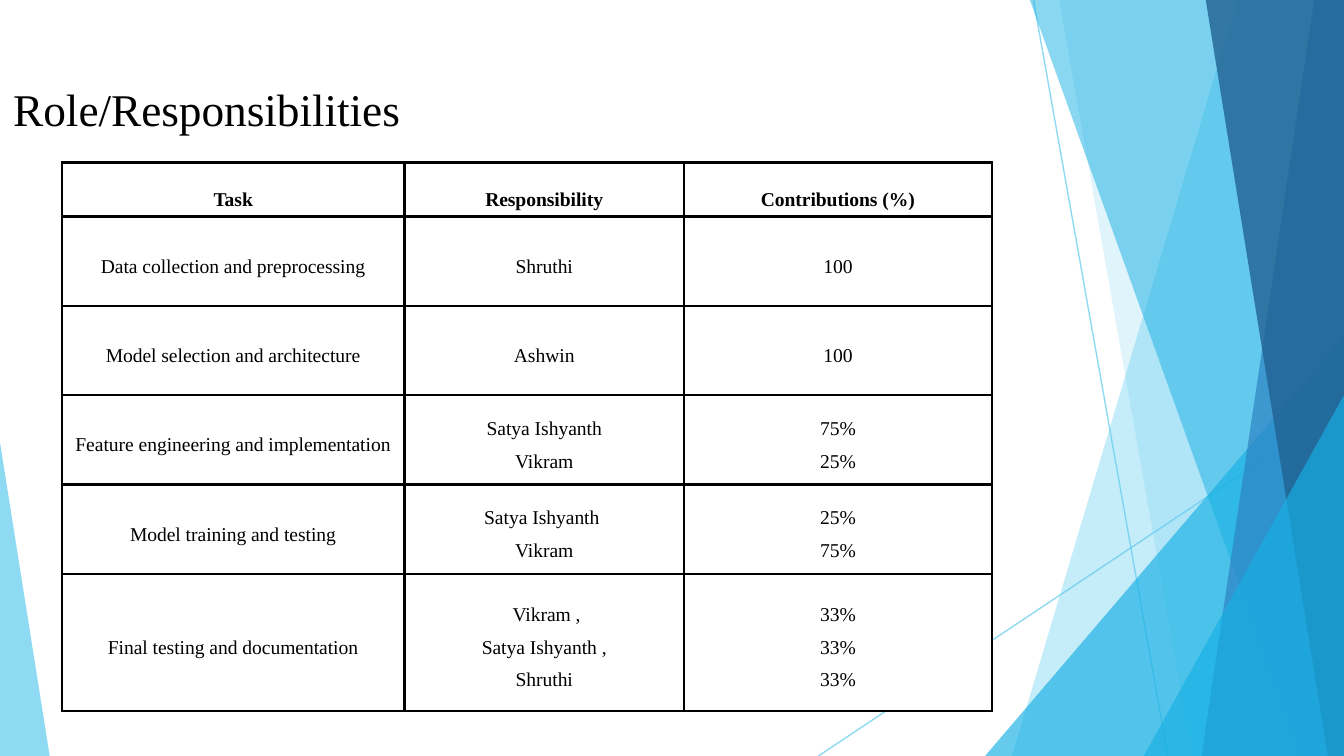
import pptx
import pptx.util
import pptx.dml.color
import pptx.enum.shapes
import pptx.enum.text
import pptx.oxml
import pptx.oxml.ns
from lxml import etree

Inches, Pt = pptx.util.Inches, pptx.util.Pt
RGB = pptx.dml.color.RGBColor.from_string
Shape = pptx.enum.shapes.MSO_SHAPE
Align, Anchor = pptx.enum.text.PP_ALIGN, pptx.enum.text.MSO_ANCHOR
qn = pptx.oxml.ns.qn

WIDE = 10
HIGH = WIDE * 9 / 16
FONT = "Times New Roman"
COLORS = {"ink": "000000", "paper": "FFFFFF", "sky": "5FCBEF",
          "cyan": "17B0E4", "blue": "2E83C3", "navy": "226292"}

TITLE = "Role/Responsibilities"
HEAD = ["Task", "Responsibility", "Contributions (%)"]
TASKS = [
    ("Data collection and preprocessing", ["Shruthi"], ["100"]),
    ("Model selection and architecture", ["Ashwin"], ["100"]),
    ("Feature engineering and implementation", ["Satya Ishyanth", "Vikram"], ["75%", "25%"]),
    ("Model training and testing", ["Satya Ishyanth ", "Vikram"], ["25%", "75%"]),
    ("Final testing and documentation", [" Vikram ,", "Satya Ishyanth ,", "Shruthi"],
     ["33%", "33%", "33%"]),
]
COLS = [2.55, 2.08, 2.29]
TALL, FIRST, LAST = 4.08, 0.4, 1.02
ROWS = [FIRST] + [(TALL - FIRST - LAST) / 4] * 4 + [LAST]

# Thin rays: start and end points
RAYS = [((7.69, 0), (8.69, HIGH)), ((WIDE, 3.02), (6.09, HIGH))]
# Back to front. A band runs to the right edge from (top x, bottom x);
# a wedge stands on the bottom edge: (left, top, width, apex).
FACETS = [
    ("band", (9.21, 7.53), "sky", 36),
    ("band", (7.88, 8.87), "sky", 20),
    ("wedge", (7.33, 2.5, 2.67, 1), "cyan", 66),
    ("band", (7.66, 9.68), "cyan", 50),
    ("band", (9.78, 8.94), "blue", 70),
    ("band", (8.97, 9.88), "navy", 80),
    ("wedge", (8.51, 2.94, 1.49, 1), "cyan", 66),
    ("wedge", (0, 3.29, 0.37, 0), "sky", 70),
]


def fade(fill, percent):
    """Set the opacity of a solid fill."""
    color = fill._xPr.find(qn("a:solidFill"))[0]
    etree.SubElement(color, qn("a:alpha"), val=str(percent * 1000))


def write(frame, lines, size=10.5, bold=False, align=Align.CENTER, space=1.5):
    for i, line in enumerate(lines):
        para = frame.paragraphs[0] if i == 0 else frame.add_paragraph()
        para.alignment, para.line_spacing = align, space
        run = para.add_run()
        run.text = line
        font = run.font
        font.name, font.size, font.bold = FONT, Pt(size), bold
        font.color.rgb = RGB(COLORS["ink"])


def add_ray(slide, start, end):
    ray = slide.shapes.add_connector(pptx.enum.shapes.MSO_CONNECTOR.STRAIGHT,
                                     *map(Inches, start + end))
    ray.line.width = Pt(0.75)
    ray.line.fill.solid()
    ray.line.color.rgb = RGB(COLORS["sky"])
    fade(ray.line.fill, 70)
    etree.SubElement(ray._element.spPr, qn("a:effectLst"))


def add_facet(slide, kind, place, color, percent):
    if kind == "band":
        top, base = place
        pen = slide.shapes.build_freeform(Inches(top), Inches(-0.01))
        pen.add_line_segments([(Inches(x), Inches(y)) for x, y in
                               [(WIDE, -0.01), (WIDE, HIGH), (base, HIGH)]])
        facet = pen.convert_to_shape()
    else:
        left, top, width, apex = place
        facet = slide.shapes.add_shape(Shape.ISOSCELES_TRIANGLE,
                                       *map(Inches, (left, top, width, HIGH - top)))
        facet.adjustments[0] = apex
    facet.shadow.inherit = False
    facet.line.fill.background()
    facet.fill.solid()
    facet.fill.fore_color.rgb = RGB(COLORS[color])
    fade(facet.fill, percent)


def frame_cell(cell):
    """White fill, no margins, black border on all four sides."""
    cell.margin_left = cell.margin_right = cell.margin_top = cell.margin_bottom = 0
    cell.vertical_anchor = Anchor.MIDDLE
    props = cell._tc.get_or_add_tcPr()
    for side in ("lnL", "lnR", "lnT", "lnB"):
        edge = etree.SubElement(props, qn("a:" + side), w=str(Pt(1.5)))
        paint = etree.SubElement(edge, qn("a:solidFill"))
        etree.SubElement(paint, qn("a:srgbClr"), val=COLORS["ink"])
    cell.fill.solid()
    cell.fill.fore_color.rgb = RGB(COLORS["paper"])


def add_title(slide):
    box = slide.shapes.add_textbox(*map(Inches, (0, 0.49, 9.32, 0.63)))
    frame = box.text_frame
    frame.word_wrap = True
    frame.vertical_anchor = Anchor.MIDDLE
    frame.margin_left = frame.margin_right = Inches(0.1)
    frame.margin_top = frame.margin_bottom = Inches(0.1)
    write(frame, [TITLE], size=24.3, align=Align.LEFT, space=1.0)


def add_tasks(slide):
    table = slide.shapes.add_table(len(ROWS), len(COLS), Inches(0.46), Inches(1.21),
                                   Inches(sum(COLS)), Inches(TALL)).table
    table.horz_banding = False
    for col, width in zip(table.columns, COLS):
        col.width = Inches(width)
    for row, height in zip(table.rows, ROWS):
        row.height = Inches(height)
    for r, row in enumerate([HEAD] + TASKS):
        for c, text in enumerate(row):
            cell = table.cell(r, c)
            lines = [text] if isinstance(text, str) else text
            write(cell.text_frame, lines, bold=r == 0, space=1.5 if r else 2.0)
            frame_cell(cell)


def main():
    deck = pptx.Presentation()
    deck.slide_width, deck.slide_height = Inches(WIDE), Inches(HIGH)
    slide = deck.slides.add_slide(deck.slide_layouts[6])
    for start, end in RAYS:
        add_ray(slide, start, end)
    for facet in FACETS:
        add_facet(slide, *facet)
    add_title(slide)
    add_tasks(slide)
    deck.save("out.pptx")


if __name__ == "__main__":
    main()
